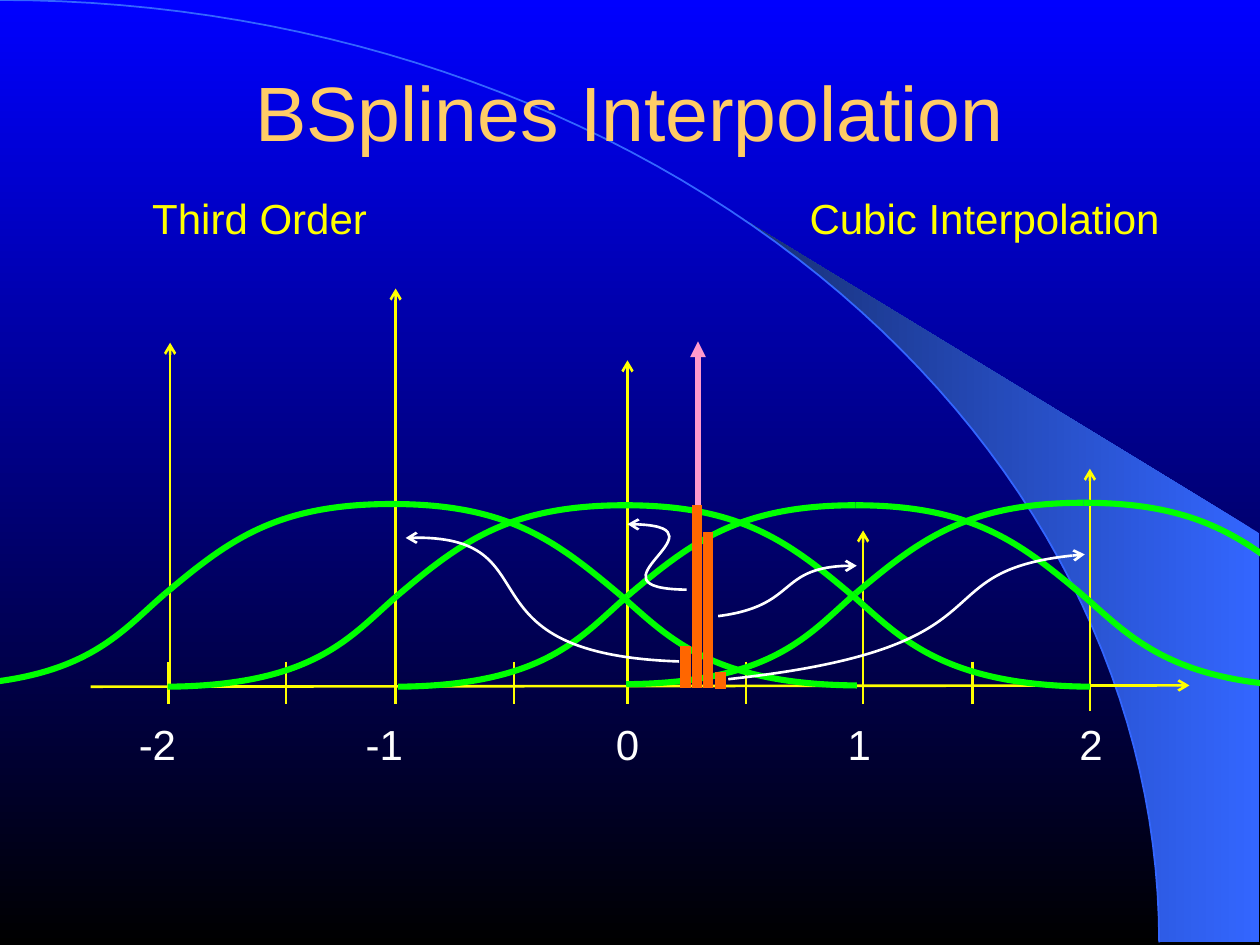
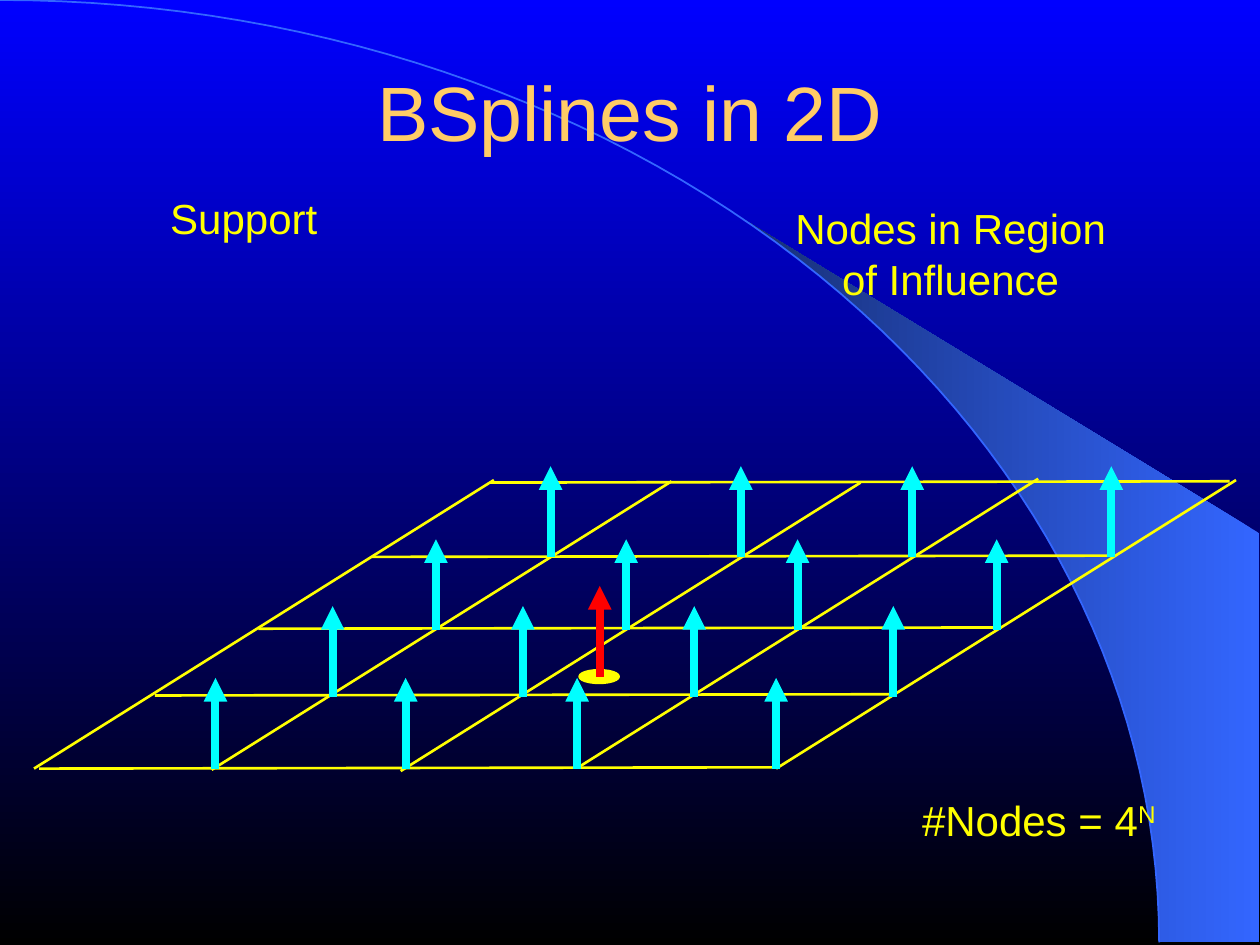
import math
from dataclasses import dataclass

import pptx
import pptx.dml.color
import pptx.enum.shapes
import pptx.enum.text
import pptx.oxml.ns
import pptx.oxml.xmlchemy
import pptx.util

BLUE = pptx.dml.color.RGBColor(0x00, 0x00, 0xFF)
BLACK = pptx.dml.color.RGBColor(0x00, 0x00, 0x00)
SKY = pptx.dml.color.RGBColor(0x33, 0x66, 0xFF)
NAVY = pptx.dml.color.RGBColor(0x17, 0x2F, 0x75)
GOLD = pptx.dml.color.RGBColor(0xFF, 0xCC, 0x66)
YELLOW = pptx.dml.color.RGBColor(0xFF, 0xFF, 0x00)
WHITE = pptx.dml.color.RGBColor(0xFF, 0xFF, 0xFF)
GREEN = pptx.dml.color.RGBColor(0x00, 0xFF, 0x00)
PINK = pptx.dml.color.RGBColor(0xFF, 0x99, 0xCC)
ORANGE = pptx.dml.color.RGBColor(0xFF, 0x66, 0x00)
RED = pptx.dml.color.RGBColor(0xFF, 0x00, 0x00)
CYAN = pptx.dml.color.RGBColor(0x00, 0xFF, 0xFF)
FONT = "Arial"

Point = tuple[float, float]


@dataclass(frozen=True)
class Box:
    left: float
    top: float
    width: float
    height: float


@dataclass(frozen=True)
class Pen:
    color: pptx.dml.color.RGBColor
    width: float = 1.5
    head: str = ""
    tail: str = ""


@dataclass(frozen=True)
class Upright:
    """A vertical line, given from its top down to its base."""
    x: float
    top: float
    base: float


@dataclass(frozen=True)
class Curve:
    """One cubic Bezier segment."""
    start: Point
    leave: Point
    arrive: Point
    end: Point


@dataclass(frozen=True)
class Bell:
    peak: float
    top: float
    has_right_foot: bool = True


THIN = Pen(YELLOW)
ARC_PEN = Pen(SKY, 1)
STEM_PEN = Pen(YELLOW, head="arrow")
AXIS_PEN = Pen(YELLOW, tail="arrow")
BELL_PEN = Pen(GREEN, 3.5)
POINTER_PEN = Pen(WHITE, tail="arrow")
SAMPLE_PEN = Pen(PINK, 3, head="triangle")
BAR_PEN = Pen(ORANGE, 6)
NODE_PEN = Pen(CYAN, 4.5, head="triangle")
CENTER_PEN = Pen(RED, 4.5, head="triangle")

TICKS = [Upright(x, 5.25, 5.59) for x in (1.34, 2.27, 3.14, 4.08, 5.92, 6.85, 7.72)]
TICKS.append(Upright(8.65, 5.31, 5.64))
STEMS = [
    Upright(1.35, 2.72, 5.44),
    Upright(3.14, 2.29, 5.45),
    Upright(4.98, 2.86, 5.59),
    Upright(6.85, 4.21, 5.45),
    Upright(8.65, 3.72, 5.45),
]
AXIS_LABELS = {"-2": 1.25, "-1": 3.05, "0": 4.98, "1": 6.82, "2": 8.66}
BELLS = [Bell(4.96, 4.01), Bell(3.11, 4), Bell(8.6, 3.99, False), Bell(6.79, 4.01)]
BARS = [
    Upright(5.44, 5.13, 5.46),
    Upright(5.53, 4.01, 5.46),
    Upright(5.62, 4.22, 5.46),
    Upright(5.72, 5.33, 5.47),
]
POINTERS = [
    Curve((5.45, 4.68), (4.59, 4.67), (5.88, 4.16), (4.98, 4.16)),
    Curve((5.7, 4.89), (6.33, 4.81), (6.15, 4.48), (6.8, 4.49)),
    Curve((5.39, 5.25), (3.6, 5.19), (4.45, 4.22), (3.22, 4.27)),
    Curve((5.78, 5.39), (8.1, 5.14), (7.23, 4.51), (8.61, 4.4)),
]

DIAGONAL_STARTS = [(0.27, 6.1), (1.68, 6.11), (3.18, 6.12), (4.59, 6.09), (6.16, 6.1)]
ROW_STARTS = [(3.89, 3.83), (2.95, 4.42), (2.05, 4.99), (1.23, 5.52), (0.31, 6.1)]
NODE_ROWS = [(4.37, 3.7), (3.46, 4.28), (2.64, 4.81), (1.71, 5.38)]
NODE_OFFSETS = [0, 1.51, 2.87, 4.45]
NODE_HEIGHT = 0.72


def length(units: float) -> pptx.util.Cm:
    """Turn layout units, ten across the slide, into a length."""
    return pptx.util.Cm(2.54 * units)


def apply_pen(line, pen: Pen) -> None:
    line.color.rgb = pen.color
    line.width = pptx.util.Pt(pen.width)
    outline = line._get_or_add_ln()
    for tag, kind in (("a:headEnd", pen.head), ("a:tailEnd", pen.tail)):
        if kind:
            arrowhead = pptx.oxml.xmlchemy.OxmlElement(tag)
            arrowhead.set("type", kind)
            outline.append(arrowhead)


def apply_gradient(fill, colors: tuple, angle: float) -> None:
    fill.gradient()
    fill.gradient_angle = angle
    for stop, color, position in zip(fill.gradient_stops, colors, (0, 1)):
        stop.color.rgb = color
        stop.position = position


def add_line(page, start: Point, end: Point, pen: Pen) -> None:
    connector = page.shapes.add_connector(
        pptx.enum.shapes.MSO_CONNECTOR.STRAIGHT, *map(length, start + end))
    apply_pen(connector.line, pen)
    properties = connector.element.spPr
    properties.append(pptx.oxml.xmlchemy.OxmlElement("a:effectLst"))


def add_upright(page, upright: Upright, pen: Pen) -> None:
    add_line(page, (upright.x, upright.top), (upright.x, upright.base), pen)


def add_outline(page, points: list[Point], close: bool = False):
    first, *others = [(length(x), length(y)) for x, y in points]
    builder = page.shapes.build_freeform(*first)
    builder.add_line_segments(others, close=close)
    shape = builder.convert_to_shape()
    shape.shadow.inherit = False
    shape.fill.background()
    return shape


def add_curve(page, curve: Curve, pen: Pen) -> None:
    shape = add_outline(page, [curve.start, curve.leave, curve.arrive, curve.end])
    drawing = next(shape.element.iter(pptx.oxml.ns.qn("a:path")))
    bezier = pptx.oxml.xmlchemy.OxmlElement("a:cubicBezTo")
    for segment in drawing.findall(pptx.oxml.ns.qn("a:lnTo")):
        bezier.append(segment[0])
        drawing.remove(segment)
    drawing.append(bezier)
    apply_pen(shape.line, pen)


def add_text(page, box: Box, text: str, *, size: float = 24, color=YELLOW,
             spacing: float = 0.8, wrap: bool = True, margins: Point = (0.1, 0.05),
             anchor=pptx.enum.text.MSO_ANCHOR.TOP, superscript: str = "") -> None:
    frame = page.shapes.add_textbox(
        length(box.left), length(box.top), length(box.width), length(box.height)).text_frame
    frame.word_wrap = wrap
    frame.vertical_anchor = anchor
    frame.margin_left = frame.margin_right = length(margins[0])
    frame.margin_top = frame.margin_bottom = length(margins[1])
    para = frame.paragraphs[0]
    para.alignment = pptx.enum.text.PP_ALIGN.CENTER
    para.line_spacing = spacing
    for content, baseline in ((text, ""), (superscript, "30000")):
        if content:
            span = para.add_run()
            span.text = content
            span.font.name = FONT
            span.font.size = pptx.util.Pt(size)
            span.font.color.rgb = color
            if baseline:
                span.font._element.set("baseline", baseline)


def arc_points(start: float, end: float, steps: int) -> list[Point]:
    """Points on the large background ellipse, angles in degrees from its top."""
    angles = [math.radians(start + (end - start) * i / steps) for i in range(steps + 1)]
    return [(9.2 * math.sin(angle), 7.48 * (1 - math.cos(angle))) for angle in angles]


def add_page(deck, title: str):
    """Add a slide with the shared background, beam, arc and title."""
    page = deck.slides.add_slide(deck.slide_layouts[6])
    apply_gradient(page.background.fill, (BLUE, BLACK), 270)
    beam = add_outline(page, arc_points(39.8, 90, 30) + [(9.99, 7.48), (9.99, 4.23)], close=True)
    apply_gradient(beam.fill, (SKY, NAVY), 180)
    beam.line.fill.background()
    apply_pen(add_outline(page, arc_points(0, 90, 60)).line, ARC_PEN)
    add_text(page, Box(0.75, 0.12, 8.5, 1.51), title, size=44, color=GOLD, spacing=1,
             margins=(0, 0), anchor=pptx.enum.text.MSO_ANCHOR.MIDDLE)
    return page


def add_bell(page, bell: Bell) -> None:
    """Draw each side as a foot and a shoulder that meet halfway up."""
    for side, reach, bend in ((-1, 1.82, 0.65), (1, 1.88, 0.7)):
        x, y = bell.peak + side * 1.81, bell.top + 0.72
        shoulder = Curve((x, y), (x - side * 0.51, y - 0.43),
                         (bell.peak + side * 0.92, bell.top), (bell.peak, bell.top))
        add_curve(page, shoulder, BELL_PEN)
        if side < 0 or bell.has_right_foot:
            foot = Curve((x, y), (x + side * 0.37, y + 0.32),
                         (x + side * bend, y + 0.71), (x + side * reach, y + 0.72))
            add_curve(page, foot, BELL_PEN)


def build_interpolation(deck) -> None:
    page = add_page(deck, "BSplines Interpolation")
    for label, center in AXIS_LABELS.items():
        add_text(page, Box(center - 0.25, 5.73, 0.5, 0.42), label, color=WHITE, wrap=False)
    add_text(page, Box(0.57, 1.56, 2.98, 0.42), "Third Order")
    add_text(page, Box(5.95, 1.56, 3.73, 0.42), "Cubic Interpolation")
    for tick in TICKS:
        add_upright(page, tick, THIN)
    for stem in STEMS:
        add_upright(page, stem, STEM_PEN)
    add_line(page, (0.72, 5.45), (9.44, 5.44), AXIS_PEN)
    for bell in BELLS:
        add_bell(page, bell)
    add_upright(page, Upright(5.54, 2.71, 5.43), SAMPLE_PEN)
    for pointer in POINTERS:
        add_curve(page, pointer, POINTER_PEN)
    for bar in BARS:
        add_upright(page, bar, BAR_PEN)


def build_two_dimensions(deck) -> None:
    page = add_page(deck, "BSplines in 2D")
    spot = page.shapes.add_shape(pptx.enum.shapes.MSO_SHAPE.OVAL,
                                 length(4.6), length(5.32), length(0.31), length(0.1))
    spot.shadow.inherit = False
    spot.fill.solid()
    spot.fill.fore_color.rgb = YELLOW
    apply_pen(spot.line, THIN)
    add_text(page, Box(0.57, 1.56, 2.73, 0.42), "Support")
    for starts, (across, down) in ((DIAGONAL_STARTS, (3.65, -2.29)), (ROW_STARTS, (5.87, -0.01))):
        for x, y in starts:
            add_line(page, (x, y), (x + across, y + down), THIN)
    add_upright(page, Upright(4.76, 4.65, 5.37), CENTER_PEN)
    for left, top in NODE_ROWS:
        for offset in NODE_OFFSETS:
            add_upright(page, Upright(left + offset, top, top + NODE_HEIGHT), NODE_PEN)
    add_text(page, Box(6.18, 1.56, 2.73, 0.9), "Nodes in Region of Influence", spacing=1)
    add_text(page, Box(6.88, 6.33, 2.73, 0.42), "#Nodes = 4", superscript="N")


def main() -> None:
    deck = pptx.Presentation()
    deck.slide_width, deck.slide_height = length(10), length(7.5)
    build_interpolation(deck)
    build_two_dimensions(deck)
    deck.save("out.pptx")


if __name__ == "__main__":
    main()
